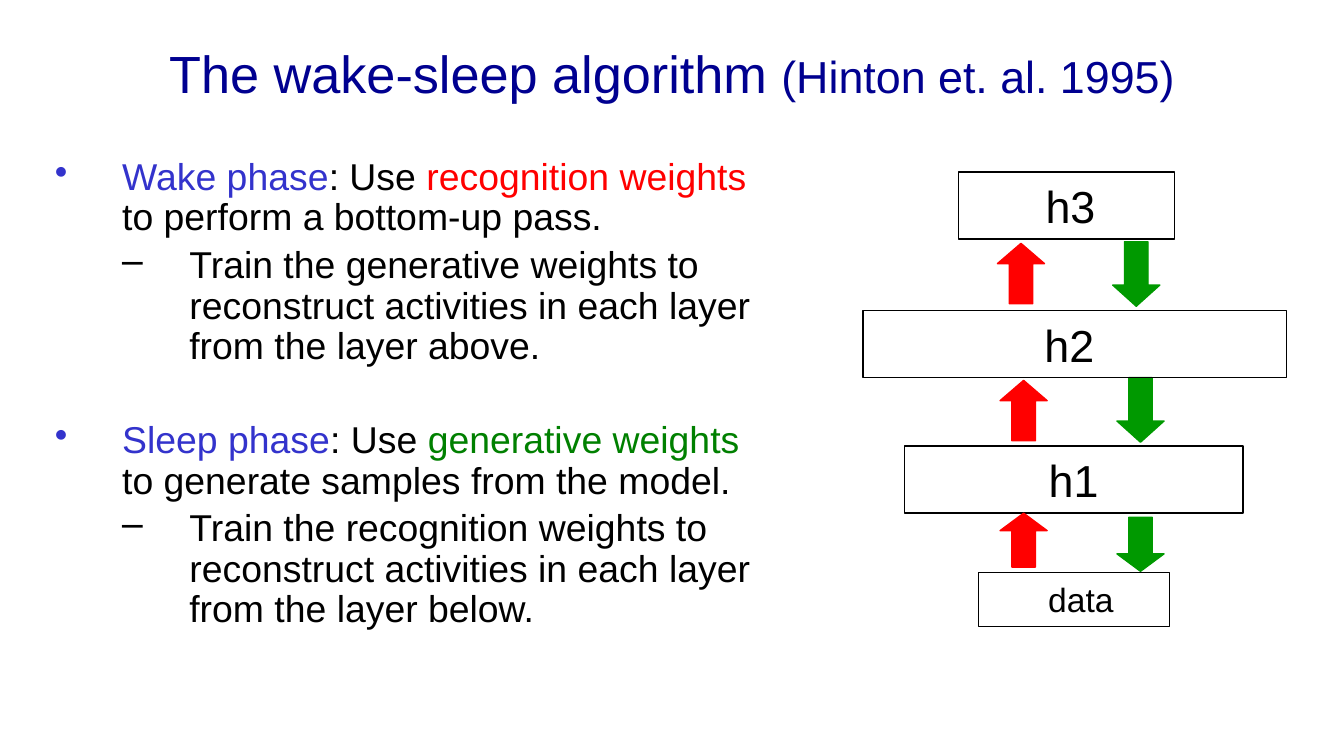
"""Build a slide on the wake-sleep algorithm with its layer diagram."""
import pptx
import pptx.dml.color
import pptx.enum.shapes
import pptx.enum.text
import pptx.oxml
import pptx.oxml.ns
import pptx.util

Cm = pptx.util.Cm
Pt = pptx.util.Pt
RGBColor = pptx.dml.color.RGBColor
MSO_SHAPE = pptx.enum.shapes.MSO_SHAPE
PP_ALIGN = pptx.enum.text.PP_ALIGN
MSO_ANCHOR = pptx.enum.text.MSO_ANCHOR

NAVY = RGBColor(0x00, 0x00, 0x90)
BLUE = RGBColor(0x33, 0x33, 0xCC)
BLACK = RGBColor(0x00, 0x00, 0x00)
RED = RGBColor(0xFF, 0x00, 0x00)
DARK_GREEN = RGBColor(0x00, 0x80, 0x00)
GREEN = RGBColor(0x00, 0x99, 0x00)


def add_run(p, text, size, color):
    r = p.add_run()
    r.text = text
    r.font.name = "Arial"
    r.font.size = Pt(size)
    r.font.color.rgb = color


def add_outlined(kind, left, top, width, height, color):
    sp = s.shapes.add_shape(kind, Cm(left), Cm(top), Cm(width), Cm(height))
    sp.shadow.inherit = False
    sp.line.color.rgb = color
    sp.line.width = Pt(0.75)
    return sp


prs = pptx.Presentation()
prs.slide_width = Cm(25.4)
prs.slide_height = Cm(14.29)
s = prs.slides.add_slide(prs.slide_layouts[5])

title = s.shapes.title
title.left, title.top, title.width, title.height = Cm(1.27), Cm(0.18), Cm(22.86), Cm(2.39)
title.text_frame.vertical_anchor = MSO_ANCHOR.MIDDLE
p = title.text_frame.paragraphs[0]
p.alignment = PP_ALIGN.CENTER
add_run(p, "The wake-sleep algorithm ", 28, NAVY)
add_run(p, "(Hinton et. al. 1995)", 24, NAVY)

phases = [
    (0, 0, "•", [("Wake phase", BLUE), (": Use ", BLACK), ("recognition weights ", RED),
                 ("to perform a bottom-up pass.", BLACK)]),
    (1, 4, "–", [("Train the generative weights to reconstruct activities "
                  "in each layer from the layer above.", BLACK)]),
    (0, 29, "•", [("Sleep phase", BLUE), (": Use ", BLACK), ("generative weights ", DARK_GREEN),
                  ("to generate samples from the model.", BLACK)]),
    (1, 4, "–", [("Train the recognition weights to reconstruct activities "
                  "in each layer from the layer below.", BLACK)]),
]
tf = s.shapes.add_textbox(Cm(0.79), Cm(2.87), Cm(13.84), Cm(10.97)).text_frame
tf.word_wrap = True
for i, (level, before, bullet, runs) in enumerate(phases):
    p = tf.add_paragraph() if i else tf.paragraphs[0]
    p.level = level
    p.line_spacing = 0.9
    p.space_before = Pt(before)
    pPr = p._p.get_or_add_pPr()
    pPr.set("marL", str(Cm(1.27 * (level + 1))))
    pPr.set("indent", str(-Cm(1.27)))
    bu = pptx.oxml.parse_xml(f'<a:buChar {pptx.oxml.ns.nsdecls("a")} char="{bullet}"/>')
    pPr.append(bu)
    for text, color in runs:
        add_run(p, text, 20, color)

layers = [
    ("h3", 18.11, 3.25, 4.09, 1.27, 19.76, 24),
    ("h2", 16.31, 5.87, 8, 1.27, 19.74, 24),
    ("h1", 17.09, 8.43, 6.4, 1.27, 19.82, 24),
    ("data", 18.49, 10.82, 3.61, 1.02, 19.81, 18),
]
for name, left, top, width, height, text_left, size in layers:
    sp = add_outlined(MSO_SHAPE.RECTANGLE, left, top, width, height, BLACK)
    sp.fill.background()
    tf = sp.text_frame
    tf.margin_left = Cm(text_left - left)
    tf.margin_right = 0
    tf.vertical_anchor = MSO_ANCHOR.MIDDLE
    p = tf.paragraphs[0]
    p.alignment = PP_ALIGN.LEFT
    add_run(p, name, size, BLACK)

arrows = [
    (21.03, 4.57, 1.22, 0.45, GREEN, 0),
    (21.11, 7.14, 1.22, 0.45, GREEN, 0),
    (21.11, 9.78, 1.02, 0.37, GREEN, 0),
    (18.85, 4.6, 1.14, 0.43, RED, 180),
    (18.9, 7.19, 1.14, 0.43, RED, 180),
    (18.9, 9.7, 1.02, 0.37, RED, 180),
]
for left, top, height, head, color, rotation in arrows:
    sp = add_outlined(MSO_SHAPE.DOWN_ARROW, left, top, 0.89, height, color)
    sp.fill.solid()
    sp.fill.fore_color.rgb = color
    sp.adjustments[1] = head
    sp.rotation = rotation

h2_cover = s.shapes[3]._element
s.shapes._spTree.remove(h2_cover)
s.shapes._spTree.append(h2_cover)

prs.save("out.pptx")
